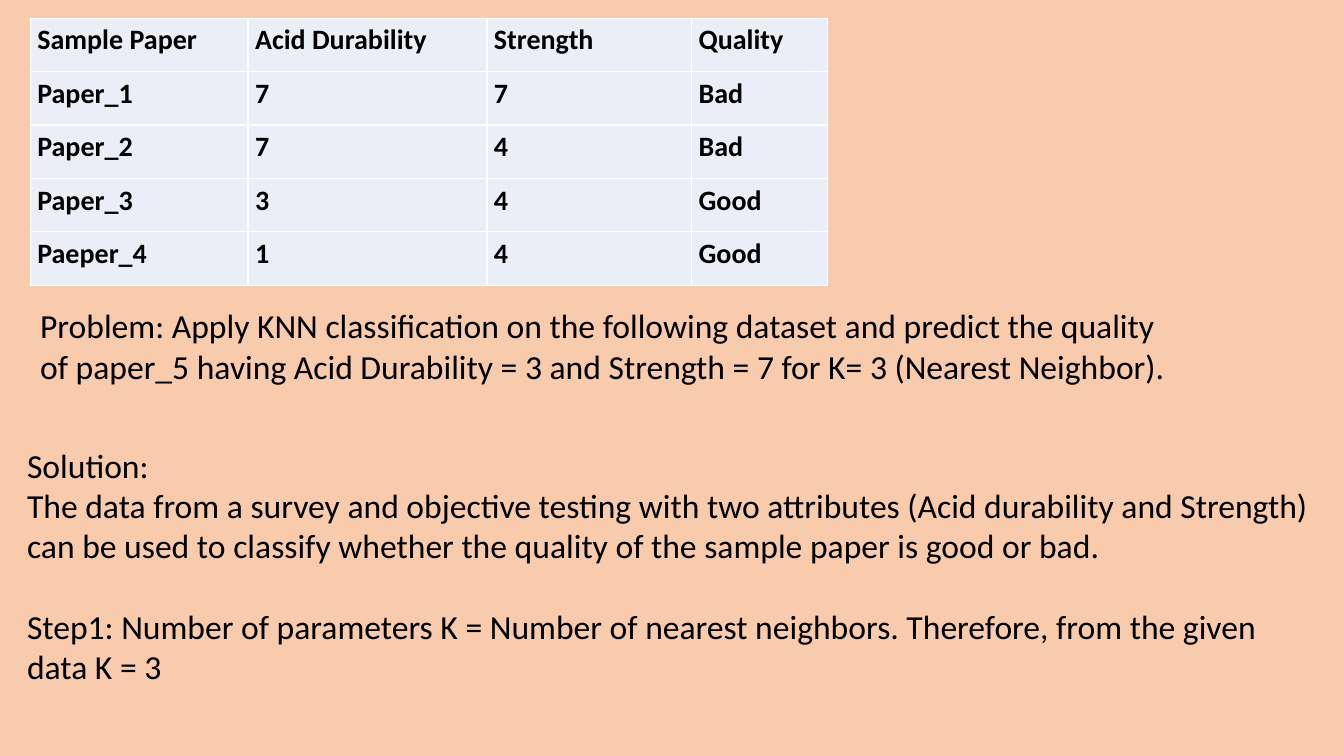
from dataclasses import dataclass

from lxml import etree
from pptx import Presentation, util as u
from pptx.dml.color import RGBColor
from pptx.enum import text
from pptx.oxml import ns

PX = 9144  # EMU in one px, 100 px to the inch


@dataclass(frozen=True)
class Theme:
    font: str = "Calibri"
    background: str = "F8CBAD"
    ink: str = "000000"
    cell: str = "EAEFF7"
    border: str = "FFFFFF"
    body_size: int = 24
    table_size: int = 20


def write(para, words, *, theme, size, bold=False, line_spacing=None, before=0):
    span = para.add_run()
    span.text = words
    span.font.name = theme.font
    span.font.size = u.Pt(size)
    span.font.bold = bold
    span.font.color.rgb = RGBColor.from_string(theme.ink)
    if line_spacing:
        para.line_spacing = line_spacing
    if before:
        para.space_before = u.Pt(before)


class SlideBuilder:
    def __init__(self, page, theme):
        self.page = page
        self.theme = theme

    def background(self):
        fill = self.page.background.fill
        fill.solid()
        fill.fore_color.rgb = RGBColor.from_string(self.theme.background)

    def text_box(self, left, top, width, height, paragraphs):
        """Add a box from pairs of wording and space before in points."""
        box = self.page.shapes.add_textbox(left * PX, top * PX, width * PX, height * PX)
        frame = box.text_frame
        frame.word_wrap = True
        frame.auto_size = text.MSO_AUTO_SIZE.SHAPE_TO_FIT_TEXT
        for index, (words, before) in enumerate(paragraphs):
            para = frame.add_paragraph() if index else frame.paragraphs[0]
            write(para, words, theme=self.theme, size=self.theme.body_size, before=before)

    def cell_borders(self, cell):
        properties = cell._tc.get_or_add_tcPr()
        for side in ("lnL", "lnR", "lnT", "lnB"):
            line = etree.SubElement(properties, ns.qn(f"a:{side}"), w=str(u.Pt(1)))
            fill = etree.SubElement(line, ns.qn("a:solidFill"))
            etree.SubElement(fill, ns.qn("a:srgbClr"), val=self.theme.border)

    def table(self, left, top, widths, row_height, rows):
        frame = self.page.shapes.add_table(
            len(rows), len(widths), left * PX, top * PX,
            sum(widths) * PX, row_height * len(rows) * PX)
        table = frame.table
        for column, width in zip(table.columns, widths):
            column.width = width * PX
        for row, values in zip(table.rows, rows):
            row.height = row_height * PX
            for cell, value in zip(row.cells, values):
                cell.margin_left = cell.margin_right = 7 * PX
                cell.margin_top = cell.margin_bottom = 0
                self.cell_borders(cell)
                cell.fill.solid()
                cell.fill.fore_color.rgb = RGBColor.from_string(self.theme.cell)
                write(cell.text_frame.paragraphs[0], value, theme=self.theme,
                      size=self.theme.table_size, bold=True, line_spacing=1.15)


def main():
    deck = Presentation()
    deck.slide_width, deck.slide_height = 1333 * PX, 750 * PX
    slide = SlideBuilder(deck.slides.add_slide(deck.slide_layouts[6]), Theme())
    slide.background()
    slide.table(30, 18, (216, 237, 203, 135), 53, [
        ("Sample Paper", "Acid Durability", "Strength", "Quality"),
        ("Paper_1", "7", "7", "Bad"),
        ("Paper_2", "7", "4", "Bad"),
        ("Paper_3", "3", "4", "Good"),
        ("Paeper_4", "1", "4", "Good"),
    ])
    slide.text_box(30, 298, 1140, 121, [
        ("Problem: Apply KNN classification on the following dataset and predict the quality "
         "of paper_5 having Acid Durability = 3 and Strength = 7 for K= 3 (Nearest Neighbor).", 0),
    ])
    slide.text_box(17, 436, 1297, 252, [
        ("Solution:", 0),
        ("The data from a survey and objective testing with two attributes (Acid durability and "
         "Strength) can be used to classify whether the quality of the sample paper is good or bad.", 0),
        ("Step1: Number of parameters K = Number of nearest neighbors. "
         "Therefore, from the given data K = 3", 29),
    ])
    deck.save("out.pptx")


if __name__ == "__main__":
    main()
